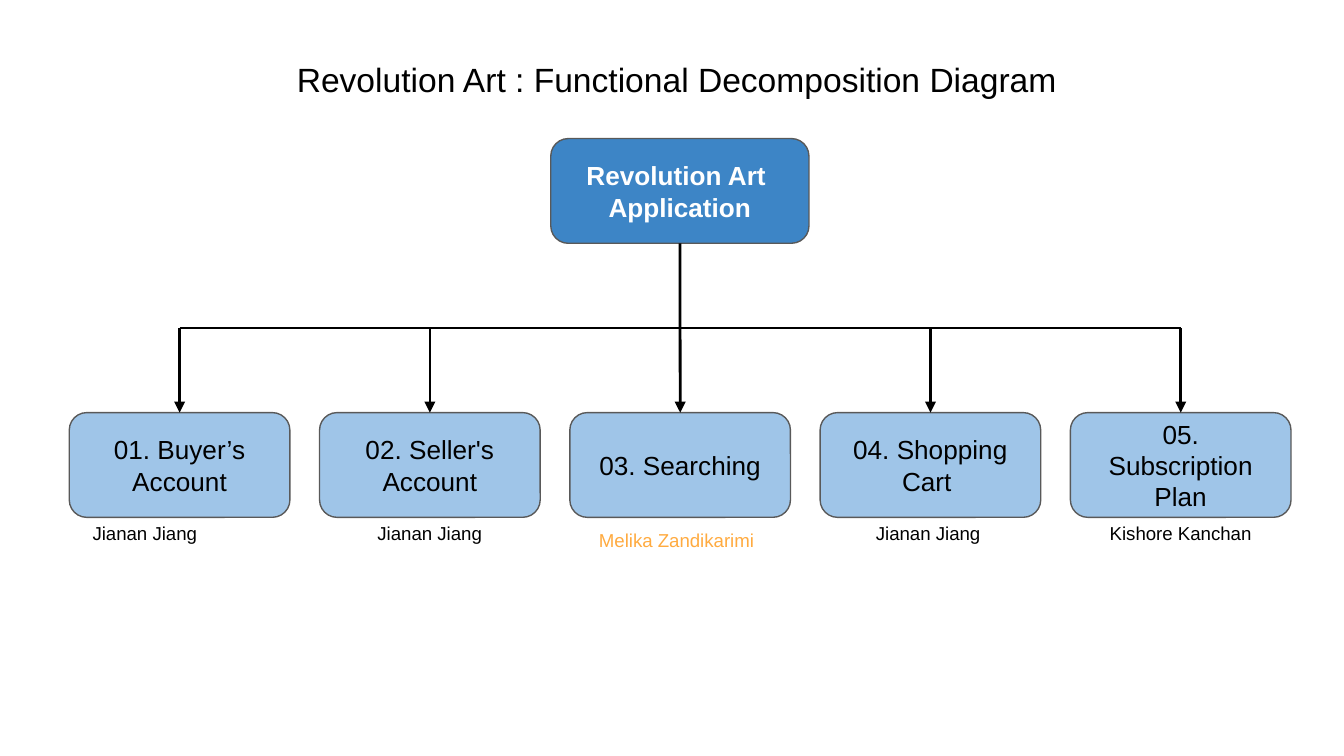
from lxml import etree
from pptx import Presentation
from pptx.dml.color import RGBColor
from pptx.enum.shapes import MSO_CONNECTOR, MSO_SHAPE
from pptx.enum.text import MSO_ANCHOR, PP_ALIGN
from pptx.oxml.ns import qn
from pptx.util import Cm, Pt

LINE = MSO_CONNECTOR.STRAIGHT
ROUND = MSO_SHAPE.ROUNDED_RECTANGLE
TOP = MSO_ANCHOR.TOP
MIDDLE = MSO_ANCHOR.MIDDLE
LEFT = PP_ALIGN.LEFT
CENTER = PP_ALIGN.CENTER


def hue(code):
    return RGBColor.from_string(code)


def write(shape, text, size, color, align, anchor=TOP, bold=False, inset=0.25):
    frame = shape.text_frame
    frame.word_wrap = True
    frame.vertical_anchor = anchor
    frame.margin_left = frame.margin_right = Cm(0.25)
    frame.margin_top = frame.margin_bottom = Cm(inset)
    frame.text = text
    for para in frame.paragraphs:
        para.alignment = align
        for run in para.runs:
            run.font.name = "Arial"
            run.font.size = Pt(size)
            run.font.bold = bold
            run.font.color.rgb = hue(color)


deck = Presentation()
deck.slide_width = Cm(25.4)
deck.slide_height = Cm(14.29)
slide = deck.slides.add_slide(deck.slide_layouts[6])
shapes = slide.shapes

start, pitch, width, height = 1.31, 4.73, 4.17, 1.98
row, bus = 7.8, 6.2
lefts = [start + i * pitch for i in range(5)]
mids = [left + width / 2 for left in lefts]

title = shapes.add_textbox(Cm(5.36), Cm(0.99), Cm(15.7), Cm(1.02))
write(title, "Revolution Art : Functional Decomposition Diagram", 18, "000000", LEFT, inset=0.13)

tasks = ["01. Buyer’s Account", "02. Seller's Account", "03. Searching",
         "04. Shopping Cart ", "05. Subscription Plan"]
cards = [("Revolution Art \nApplication", 10.41, 2.62, 4.88, "3D85C6", "FFFFFF", True)]
cards += [(task, left, row, width, "9FC5E8", "000000", False)
          for task, left in zip(tasks, lefts)]
boxes = []
for text, left, top, wide, fill, color, bold in cards:
    box = shapes.add_shape(ROUND, Cm(left), Cm(top), Cm(wide), Cm(height))
    box.shadow.inherit = False
    box.fill.solid()
    box.fill.fore_color.rgb = hue(fill)
    box.line.color.rgb = hue("595959")
    box.line.width = Pt(0.75)
    write(box, text, 14, color, CENTER, MIDDLE, bold)
    boxes.append(box)
root, *leaves = boxes

links = [(mids[0], mids[-1], bus, None)]
links += [(mid, mid, row, leaf) for mid, leaf in zip(mids, leaves)]
for begin, end, low, leaf in links:
    link = shapes.add_connector(LINE, Cm(begin), Cm(bus), Cm(end), Cm(low))
    link.line.color.rgb = hue("000000")
    link.line.width = Pt(1.5)
    if leaf is leaves[2]:
        link.begin_connect(root, 2)
    if leaf:
        link.end_connect(leaf, 0)
        tail = etree.SubElement(link.line._get_or_add_ln(), qn("a:tailEnd"))
        tail.set("type", "triangle")
    etree.SubElement(link._element.spPr, qn("a:effectLst"))

people = [
    ("Jianan Jiang", 0.19, 9.65, 3.86, 0.81, LEFT, "000000"),
    ("Jianan Jiang", 0.34, 9.65, 3.48, 0.81, CENTER, "000000"),
    ("Melika Zandikarimi", 0.3, 9.78, 3.99, 1.09, LEFT, "FFAB40"),
    ("Jianan Jiang", 0.3, 9.65, 3.48, 0.81, CENTER, "000000"),
    ("Kishore Kanchan ", 0.39, 9.65, 3.48, 0.81, CENTER, "000000"),
]
for left, (name, shift, top, wide, high, align, color) in zip(lefts, people):
    label = shapes.add_textbox(Cm(left + shift), Cm(top), Cm(wide), Cm(high))
    write(label, name, 10, color, align)

deck.save("out.pptx")
